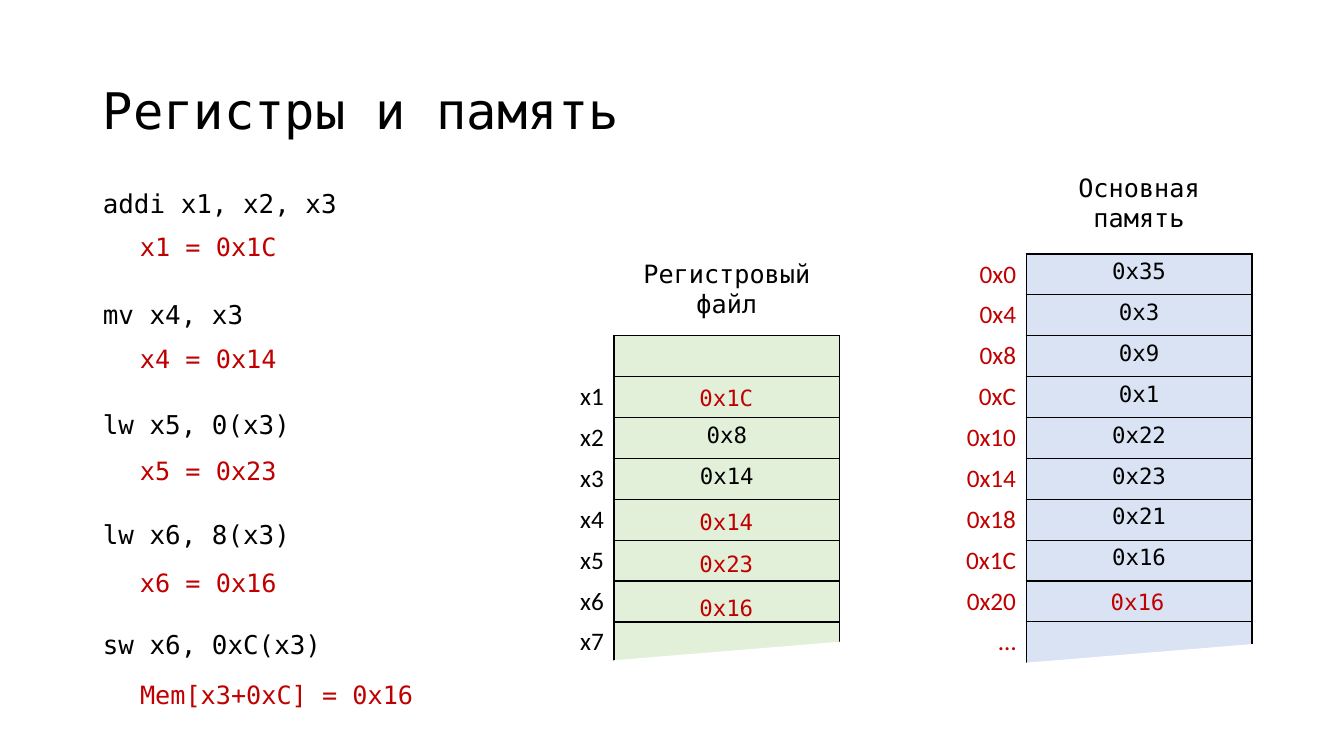
from dataclasses import dataclass
from typing import Optional

from lxml import etree
from pptx import Presentation
from pptx.dml.color import RGBColor
from pptx.enum.shapes import MSO_SHAPE
from pptx.enum.text import MSO_ANCHOR, MSO_AUTO_SIZE, PP_ALIGN
from pptx.oxml.ns import qn
from pptx.util import Inches, Pt

LEFT, CENTER, RIGHT = PP_ALIGN.LEFT, PP_ALIGN.CENTER, PP_ALIGN.RIGHT
TOP, MIDDLE = MSO_ANCHOR.TOP, MSO_ANCHOR.MIDDLE
FIXED, GROW = MSO_AUTO_SIZE.NONE, MSO_AUTO_SIZE.SHAPE_TO_FIT_TEXT
RECTANGLE = MSO_SHAPE.RECTANGLE


@dataclass(frozen=True)
class Style:
    name: str
    size: float
    color: str


@dataclass(frozen=True)
class Theme:
    black: str = "000000"
    white: str = "FFFFFF"
    red: str = "C00000"
    green: str = "E2F0D9"
    blue: str = "DAE3F3"
    mono: str = "DejaVu Sans Mono"
    sans: str = "Calibri"
    title_size: float = 36
    code_size: float = 18.5
    label_size: float = 18
    value_size: float = 16


THEME = Theme()
TITLE = Style(THEME.mono, THEME.title_size, THEME.black)
CODE = Style(THEME.mono, THEME.code_size, THEME.black)
CAPTION = Style(THEME.mono, THEME.label_size, THEME.black)
RESULT = Style(THEME.mono, THEME.label_size, THEME.red)
VALUE = Style(THEME.mono, THEME.value_size, THEME.black)
NEW_VALUE = Style(THEME.mono, THEME.value_size, THEME.red)
REGISTER = Style(THEME.sans, THEME.label_size, THEME.black)
ADDRESS = Style(THEME.sans, THEME.label_size, THEME.red)


# Frames are in percent of the slide's width and height
@dataclass(frozen=True)
class Frame:
    left: float
    top: float
    width: float
    height: float


@dataclass(frozen=True)
class Instruction:
    code: str
    result: str
    width: float = 20.48


@dataclass(frozen=True)
class NewValue:
    text: str
    top: float


@dataclass(frozen=True)
class Storage:
    caption: str
    caption_top: float
    left: float
    top: float
    fill: str
    label_style: Style
    labels: list[str]
    values: list[str]
    new_values: list[NewValue]
    new_indent: float
    cover_overhang: float
    cover_top: float


ROW, COLUMN, LABEL_COLUMN = 5.41, 16.8, 5.48
MEMORY_TOP = 33.6
RESULT_TOP, RESULT_PITCH = 30, 14.8

INSTRUCTIONS = [
    Instruction("addi x1, x2, x3", "x1 = 0x1C"),
    Instruction("mv x4, x3", "x4 = 0x14"),
    Instruction("lw x5, 0(x3)", "x5 = 0x23"),
    Instruction("lw x6, 8(x3)", "x6 = 0x16"),
    Instruction("sw x6, 0xC(x3)", "Mem[x3+0xC] = 0x16", 26.1),
]
STORAGES = [
    Storage("Регистровый файл", 33.47, 45.68, MEMORY_TOP + 2 * ROW, THEME.green, REGISTER,
            ["", "x1", "x2", "x3", "x4", "x5", "x6", "x7"],
            ["", "", "0x8", "0x14", "", "", "", ""],
            [NewValue("0x1C", 50.13), NewValue("0x14", 66.53),
             NewValue("0x23", 72.13), NewValue("0x16", 77.87)],
            5.62, 1.35, 86.27),
    Storage("Основная память", 22.13, 76.35, MEMORY_TOP, THEME.blue, ADDRESS,
            ["0x0", "0x4", "0x8", "0xC", "0x10", "0x14", "0x18", "0x1C", "0x20", "…"],
            ["0x35", "0x3", "0x9", "0x1", "0x22", "0x23", "0x21", "0x16", "", ""],
            [NewValue("0x16", 77.2)],
            5.55, 0.98, 86.53),
]

deck = Presentation()
deck.slide_width, deck.slide_height = Inches(13.33), Inches(7.5)
page = deck.slides.add_slide(deck.slide_layouts[1])


def place(frame: Frame) -> tuple[int, int, int, int]:
    across, down = deck.slide_width / 100, deck.slide_height / 100
    return (int(frame.left * across), int(frame.top * down),
            int(frame.width * across), int(frame.height * down))


def write(para, text: str, style: Style, **formats) -> None:
    for name, value in formats.items():
        setattr(para, name, value)
    span = para.add_run()
    span.text = text
    for name, value in {"name": style.name, "size": Pt(style.size)}.items():
        setattr(span.font, name, value)
    span.font.color.rgb = RGBColor.from_string(style.color)


def fill_placeholder(box, frame: Frame, anchor: MSO_ANCHOR):
    box.left, box.top, box.width, box.height = place(frame)
    formats = {"vertical_anchor": anchor, "word_wrap": True, "auto_size": FIXED}
    for name, value in formats.items():
        setattr(box.text_frame, name, value)
    return box.text_frame


def add_text(frame: Frame, text: str, style: Style, align: PP_ALIGN = LEFT) -> None:
    body = page.shapes.add_textbox(*place(frame)).text_frame
    body.word_wrap, body.auto_size = True, GROW
    write(body.paragraphs[0], text, style, alignment=align)


def set_borders(cell, visible: str) -> None:
    properties = cell._tc.get_or_add_tcPr()
    for side in "LRTB":
        line = etree.SubElement(properties, qn(f"a:ln{side}"), w=str(Pt(1)))
        if side in visible:
            paint = etree.SubElement(line, qn("a:solidFill"))
            etree.SubElement(paint, qn("a:srgbClr"), val=THEME.black)
        else:
            etree.SubElement(line, qn("a:noFill"))


def add_column(left: float, top: float, width: float, texts: list[str],
               style: Style, align: PP_ALIGN, fill: Optional[str] = None) -> None:
    frame = Frame(left, top, width, ROW * len(texts))
    table = page.shapes.add_table(len(texts), 1, *place(frame)).table
    table.first_row = table.horz_banding = False
    for index, text in enumerate(texts):
        cell = table.cell(index, 0)
        if fill:
            set_borders(cell, "LRT" if index == len(texts) - 1 else "LRTB")
            cell.fill.solid()
            cell.fill.fore_color.rgb = RGBColor.from_string(fill)
        else:
            set_borders(cell, "")
            cell.fill.background()
        if text:
            write(cell.text_frame.paragraphs[0], text, style, alignment=align)


def add_cover(frame: Frame) -> None:
    cover = page.shapes.add_shape(RECTANGLE, *place(frame))
    cover.rotation = -4.7
    cover.shadow.inherit = False
    cover.fill.solid()
    cover.line.width = Pt(1)
    for paint in (cover.fill.fore_color, cover.line.color):
        paint.rgb = RGBColor.from_string(THEME.white)


# Title
title = fill_placeholder(page.shapes.title, Frame(6.9, 5.33, 86.25, 19.33), MIDDLE)
write(title.paragraphs[0], "Регистры и память", TITLE, alignment=LEFT, line_spacing=0.9)

# Instructions with their results
listing = fill_placeholder(page.placeholders[1], Frame(6.9, 24.67, 31.58, 65.73), TOP)
for index, step in enumerate(INSTRUCTIONS):
    para = listing.add_paragraph() if index else listing.paragraphs[0]
    properties = para._p.get_or_add_pPr()
    for name in ("marL", "indent"):
        properties.set(name, "0")
    etree.SubElement(properties, qn("a:buNone"))
    write(para, step.code, CODE, line_spacing=0.9, space_before=Pt(58.7 if index else 0))
    add_text(Frame(9.68, RESULT_TOP + index * RESULT_PITCH, step.width, 5.33),
             step.result, RESULT)

# Register file and main memory, each cut off by a slanted cover
for storage in STORAGES:
    add_text(Frame(storage.left, storage.caption_top, COLUMN, 9.47),
             storage.caption, CAPTION, CENTER)
    add_column(storage.left - LABEL_COLUMN, storage.top, LABEL_COLUMN,
               storage.labels, storage.label_style, RIGHT)
    add_column(storage.left, storage.top, COLUMN, storage.values, VALUE, CENTER, storage.fill)
    for new in storage.new_values:
        add_text(Frame(storage.left + storage.new_indent, new.top, 6.98, 4.93),
                 new.text, NEW_VALUE)
    add_cover(Frame(storage.left - storage.cover_overhang, storage.cover_top, 18.75, 5.2))

deck.save("out.pptx")
